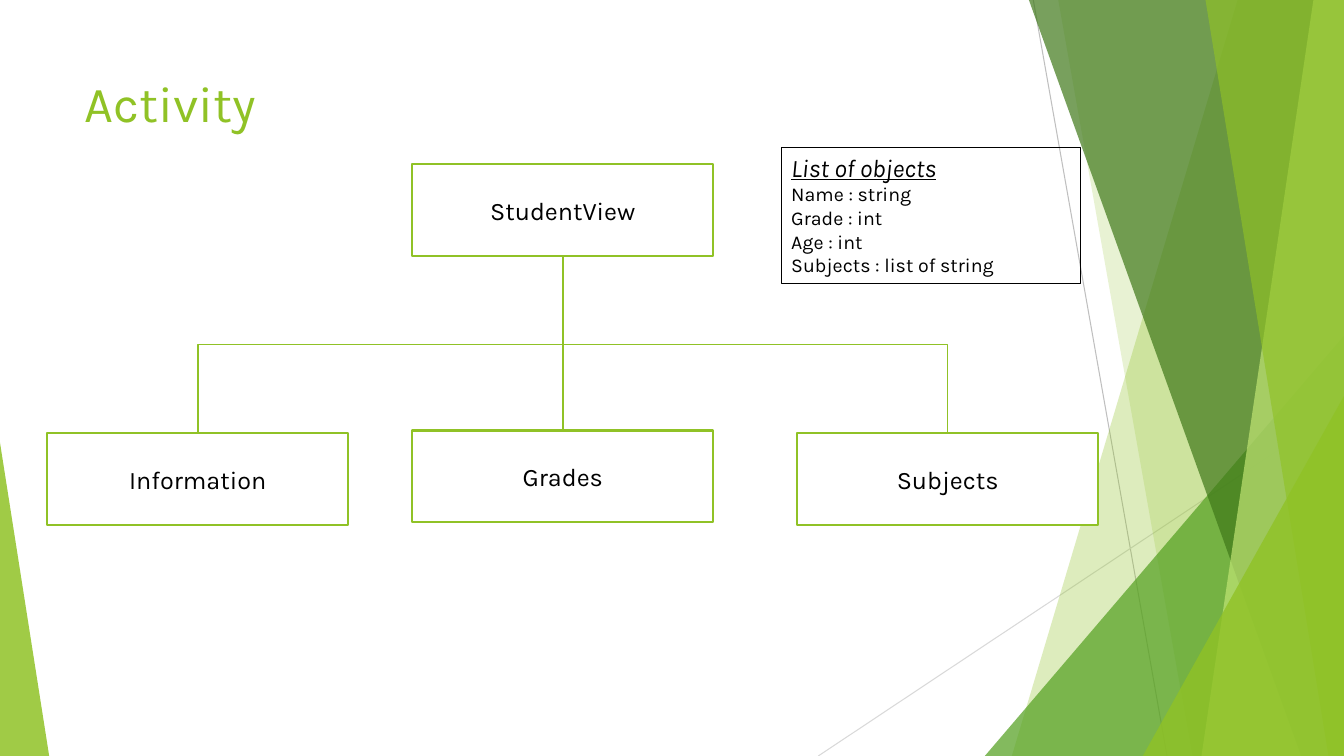
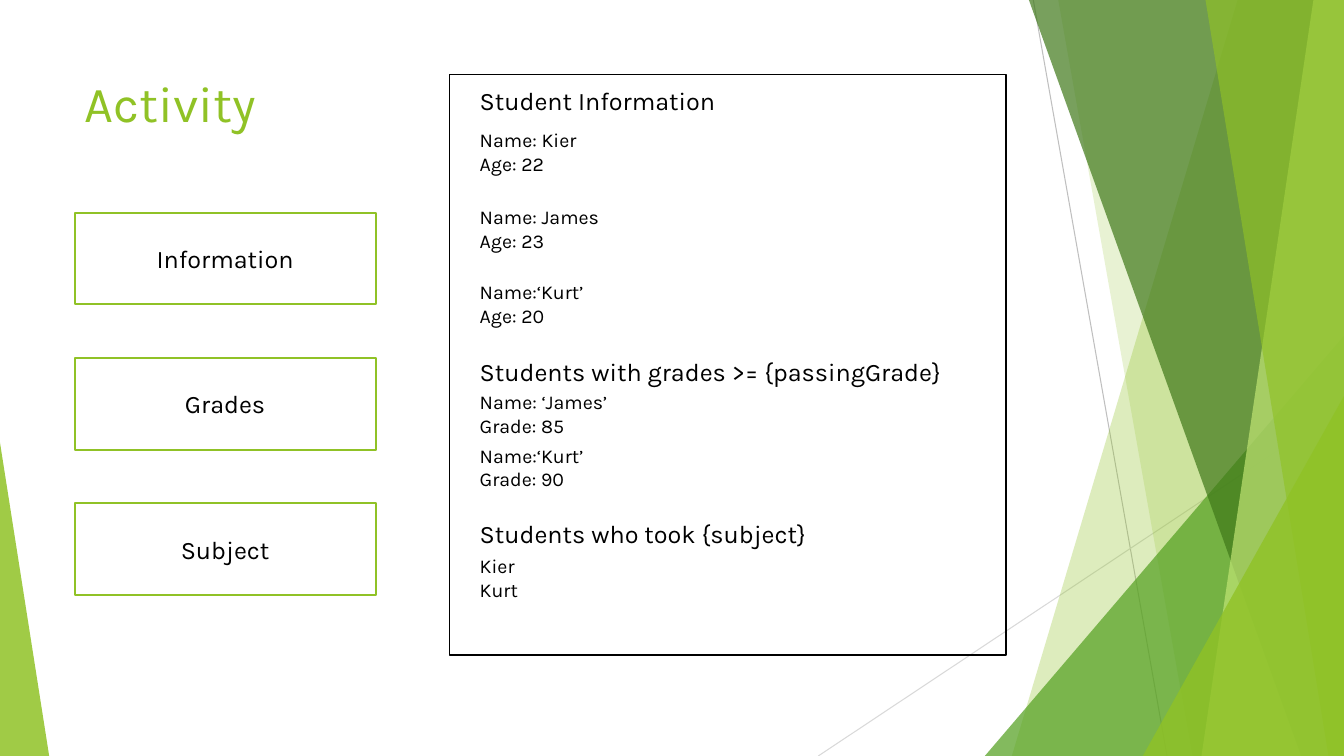
"""Build two slides on a student view: its object tree and its sample output."""
from pptx import Presentation
from pptx.dml.color import RGBColor as Rgb
from pptx.enum.shapes import MSO_CONNECTOR as Link, MSO_SHAPE as Shape
from pptx.enum.text import MSO_ANCHOR as Anchor, PP_ALIGN as Align
from pptx.oxml.ns import qn
from pptx.oxml.xmlchemy import OxmlElement as Node
from pptx.util import Cm, Pt

WIDE, HIGH = 33.87, 19.05
COLORS = {
    "lime": "90C226", "green": "54A021", "dark": "3F7819", "pale": "C0E474",
    "gray": "BFBFBF", "mist": "D9D9D9", "black": "000000", "white": "FFFFFF",
}
STYLES = {
    "title": {"size": Pt(36), "color": "lime"},
    "head": {"size": Pt(18), "color": "black"},
    "list": {"size": Pt(18), "color": "black", "italic": True, "underline": True},
    "body": {"size": Pt(14), "color": "black"},
}

TITLE = "Activity"
RAYS = [
    ("gray", 26.04, 0, 29.41, HIGH),
    ("mist", WIDE, 10.24, 20.62, HIGH),
]
BANDS = [
    ("band", "lime", 30, (31.19, 25.5)),
    ("band", "lime", 20, (26.67, 30.05)),
    ("peak", "green", 72, (24.82, 8.46, 9.05, 1)),
    ("band", "dark", 70, (25.93, 32.79)),
    ("band", "pale", 70, (33.1, 30.28)),
    ("band", "lime", 65, (30.38, 33.48)),
    ("peak", "lime", 80, (28.8, 9.98, 5.07, 1)),
    ("peak", "lime", 85, (0, 11.15, 1.24, 0)),
]

BOX = (7.59, 2.31)
ROOT = ("StudentView", 10.39, 4.14)
LEAVES = [
    ("Information", 1.19, 10.92),
    ("Grades", 10.39, 10.85),
    ("Subjects", 20.09, 10.92),
]
FIELDS = [
    ("list", "List of objects"),
    ("body", "Name : string"),
    ("body", "Grade : int"),
    ("body", "Age : int"),
    ("body", "Subjects : list of string"),
]
FIELD_AT = (19.69, 3.71, 7.54, 3.43)

TABS = ["Information", "Grades", "Subject"]
TAB_X, TAB_Y, TAB_STEP = 1.88, 5.36, 3.66
FRAME = (11.33, 1.88, 14.02, 14.63)
NOTE_X, NOTE_W = 11.84, 12.32
NOTES = [
    (2.03, "head", ["Student Information"]),
    (3.1, "body", ["Name: Kier", "Age: 22"]),
    (5.05, "body", ["Name: James", "Age: 23"]),
    (6.93, "body", ["Name:‘Kurt’", "Age: 20"]),
    (8.86, "head", ["Students with grades >= {passingGrade}"]),
    (9.7, "body", ["Name: ‘James’", "Grade: 85"]),
    (11.05, "body", ["Name:‘Kurt’", "Grade: 90"]),
    (12.93, "head", ["Students who took {subject}"]),
    (13.84, "body", ["Kier", "Kurt"]),
]


def tint(name):
    return Rgb.from_string(COLORS[name])


def write(frame, lines, align=Align.LEFT, anchor=Anchor.TOP):
    frame.word_wrap = True
    frame.vertical_anchor = anchor
    for i, (style, text) in enumerate(lines):
        para = frame.paragraphs[0] if i == 0 else frame.add_paragraph()
        para.alignment = align
        run = para.add_run()
        run.text = text
        run.font.name = "Karla"
        for key, val in STYLES[style].items():
            if key == "color":
                run.font.color.rgb = tint(val)
            else:
                setattr(run.font, key, val)


def label(slide, spot, lines):
    write(slide.shapes.add_textbox(*map(Cm, spot)).text_frame, lines)


def rect(slide, spot, line, width, fill=None):
    shape = slide.shapes.add_shape(Shape.RECTANGLE, *map(Cm, spot))
    shape.shadow.inherit = False
    shape.line.color.rgb = tint(line)
    shape.line.width = Pt(width)
    if fill:
        shape.fill.solid()
        shape.fill.fore_color.rgb = tint(fill)
    else:
        shape.fill.background()
    return shape


def button(slide, text, x, y):
    shape = rect(slide, (x, y, *BOX), "lime", 1.5, "white")
    write(shape.text_frame, [("head", text)], Align.CENTER, Anchor.MIDDLE)
    return shape


def wire(slide, kind, ends, color, width):
    line = slide.shapes.add_connector(kind, *ends)
    line.line.color.rgb = tint(color)
    line.line.width = Pt(width)
    line._element.spPr.append(Node("a:effectLst"))
    return line


def branch(slide, top, leaf):
    x, y = top.left + top.width // 2, top.top + top.height
    end = leaf.left + leaf.width // 2
    across, down = end - x, leaf.top - y
    kind = Link.ELBOW if across else Link.STRAIGHT
    line = wire(slide, kind, (x, y, end, leaf.top), "lime", 1)
    line.begin_connect(top, 2)
    line.end_connect(leaf, 0)
    if across:
        line.left, line.top = (x + end - down) // 2, y + (down - abs(across)) // 2
        line.width, line.height = down, abs(across)
        form = line._element.spPr.find(qn("a:xfrm"))
        form.set("rot", str((270 if across > 0 else 90) * 60000))
        form.set("flipH", "1" if across > 0 else "0")


def band(slide, top, base):
    path = slide.shapes.build_freeform(Cm(top), 0)
    path.add_line_segments(
        [(Cm(x), Cm(y)) for x, y in [(WIDE, 0), (WIDE, HIGH), (base, HIGH)]])
    return path.convert_to_shape()


def peak(slide, x, y, width, tip):
    spot = map(Cm, (x, y, width, HIGH - y))
    shape = slide.shapes.add_shape(Shape.ISOSCELES_TRIANGLE, *spot)
    shape.adjustments[0] = tip
    return shape


def start(deck):
    slide = deck.slides.add_slide(deck.slide_layouts[6])
    for color, *ends in RAYS:
        wire(slide, Link.STRAIGHT, map(Cm, ends), color, 0.75)
    for kind, color, solid, spot in BANDS:
        shape = {"band": band, "peak": peak}[kind](slide, *spot)
        shape.shadow.inherit = False
        shape.line.fill.background()
        shape.fill.solid()
        shape.fill.fore_color.rgb = tint(color)
        alpha = Node("a:alpha")
        alpha.set("val", str(solid * 1000))
        shape._element.spPr.find(qn("a:solidFill"))[0].append(alpha)
    label(slide, (1.88, 1.7, 23.88, 3.66), [("title", TITLE)])
    return slide


def tree(deck):
    slide = start(deck)
    top = button(slide, *ROOT)
    for leaf in LEAVES:
        branch(slide, top, button(slide, *leaf))
    write(rect(slide, FIELD_AT, "black", 0.75).text_frame, FIELDS)


def output(deck):
    slide = start(deck)
    for i, text in enumerate(TABS):
        button(slide, text, TAB_X, TAB_Y + i * TAB_STEP)
    rect(slide, FRAME, "black", 1)
    for y, style, lines in NOTES:
        high = 1.02 if style == "head" else 1.45
        label(slide, (NOTE_X, y, NOTE_W, high), [(style, text) for text in lines])


def main():
    deck = Presentation()
    deck.slide_width, deck.slide_height = Cm(WIDE), Cm(HIGH)
    tree(deck)
    output(deck)
    deck.save("out.pptx")


if __name__ == "__main__":
    main()
